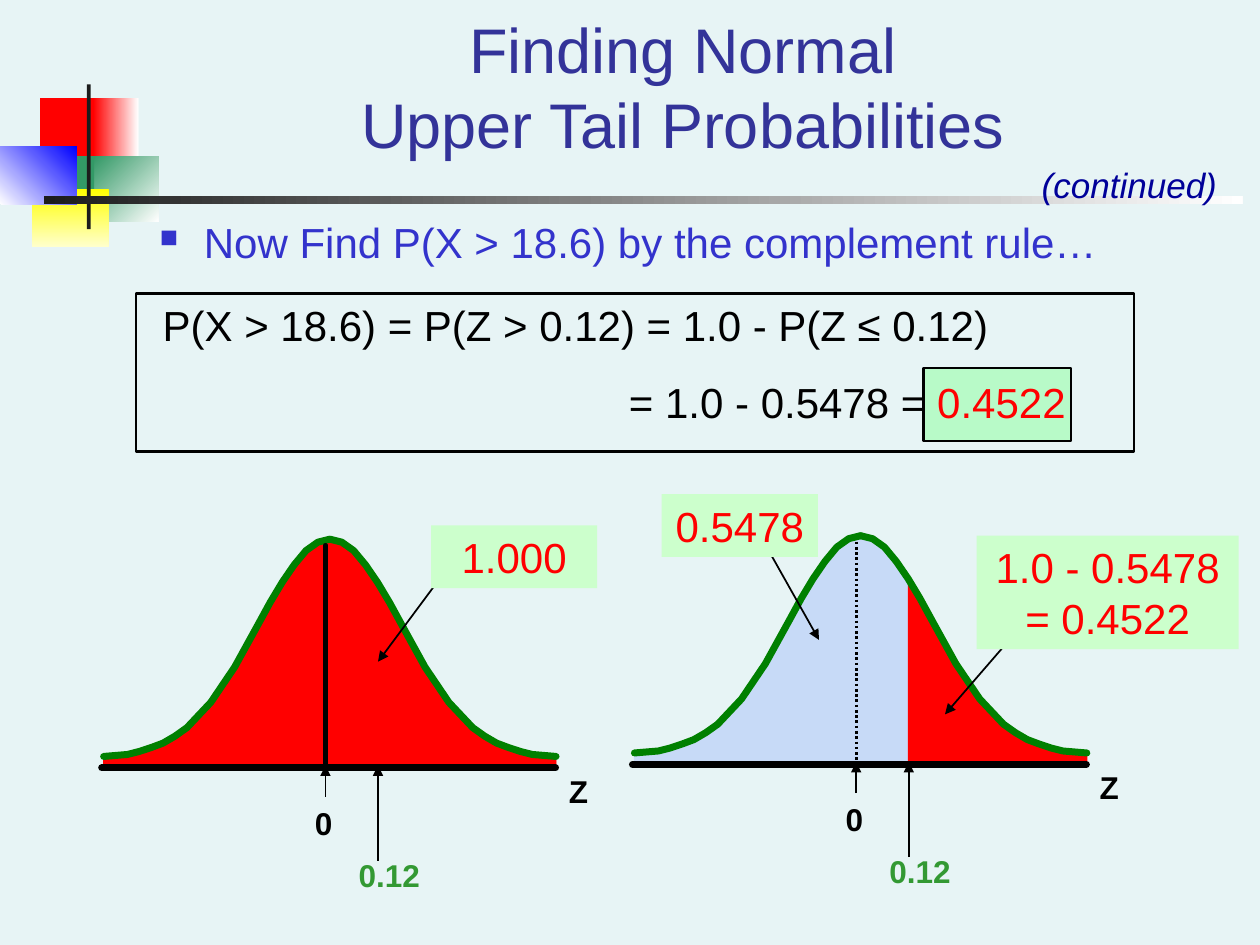
import lxml.etree
import pptx
import pptx.dml.color
import pptx.enum.dml
import pptx.enum.shapes
import pptx.enum.text
import pptx.oxml.ns
import pptx.util

Cm = pptx.util.Cm
Pt = pptx.util.Pt
qn = pptx.oxml.ns.qn
color = pptx.dml.color.RGBColor.from_string
RECTANGLE = pptx.enum.shapes.MSO_SHAPE.RECTANGLE
STRAIGHT = pptx.enum.shapes.MSO_CONNECTOR.STRAIGHT
CENTER = pptx.enum.text.PP_ALIGN.CENTER
LEFT = pptx.enum.text.PP_ALIGN.LEFT

presentation = pptx.Presentation()
presentation.slide_width = Cm(25.4)
presentation.slide_height = Cm(19.05)
slide = presentation.slides.add_slide(presentation.slide_layouts[6])
slide.background.fill.solid()
slide.background.fill.fore_color.rgb = color("E7F4F5")
shapes = slide.shapes


def style(shape, fill=None, line=None, width=1):
    shape.shadow.inherit = False
    if fill:
        shape.fill.solid()
        shape.fill.fore_color.rgb = color(fill)
    else:
        shape.fill.background()
    if line:
        shape.line.color.rgb = color(line)
        shape.line.width = Pt(width)
    else:
        shape.line.fill.background()


def add_text(text, box, size=24, ink="000000", fill=None, bold=False, italic=False,
             align=LEFT, wrap=True, bottom=False, space_before=0):
    """Add a text box; space_before applies from the second paragraph on."""
    shape = shapes.add_textbox(*[Cm(length) for length in box])
    style(shape, fill)
    frame = shape.text_frame
    frame.text = text
    frame.word_wrap = wrap
    if bottom:
        frame.vertical_anchor = pptx.enum.text.MSO_ANCHOR.BOTTOM
    for number, paragraph in enumerate(frame.paragraphs):
        paragraph.alignment = align
        if number:
            paragraph.space_before = Pt(space_before)
        for run in paragraph.runs:
            run.font.name = "Arial"
            run.font.size = Pt(size)
            run.font.bold = bold
            run.font.italic = italic
            run.font.color.rgb = color(ink)
    return shape


# Corner ornament: box, first colour, second colour, gradient angle
ornament = [
    ((0.81, 1.98, 1.22, 1.32), "FF0000", None, 0),
    ((1.88, 1.98, 0.91, 1.32), "FF0000", "FFFFFF", 0),
    ((1.9, 3.15, 1.3, 1.32), "339966", "FFFFFF", 315),
    ((1.09, 3.15, 0.81, 1.32), "339966", None, 0),
    ((0.64, 3.81, 1.55, 1.17), "FFFF00", "FFFFCC", 270),
    ((0, 2.95, 1.55, 1.17), "FFFFFF", "0000FF", 45),
    ((1.75, 1.7, 0.08, 2.92), "1C1C1C", None, 0),
    ((0.89, 3.96, 24.16, 0.15), "1C1C1C", "FFFFFF", 0),
]
for box, first, second, angle in ornament:
    shape = shapes.add_shape(RECTANGLE, *[Cm(length) for length in box])
    style(shape, first)
    if second:
        shape.fill.gradient()
        shape.fill.gradient_angle = angle
        for stop, stop_color in zip(shape.fill.gradient_stops, (first, second)):
            stop.color.rgb = color(stop_color)

# Heading and bullet
add_text("Finding Normal\vUpper Tail Probabilities", (2.97, 0.64, 21.59, 2.74),
         size=36, ink="333399", align=CENTER, bottom=True)
add_text("(continued)", (20.75, 3.18, 4.24, 1.12), size=20, ink="000099", italic=True)
bullet_box = add_text("Now Find P(X > 18.6) by the complement rule…",
                      (2.97, 4.24, 20.02, 1.9), ink="3333CC")
properties = bullet_box.text_frame.paragraphs[0]._p.get_or_add_pPr()
properties.set("marL", str(Cm(0.89)))
properties.set("indent", str(-Cm(0.89)))
bullet_color = lxml.etree.SubElement(properties, qn("a:buClr"))
lxml.etree.SubElement(bullet_color, qn("a:srgbClr"), val="3333CC")
lxml.etree.SubElement(properties, qn("a:buSzPct"), val="60000")
lxml.etree.SubElement(properties, qn("a:buChar"), char="■")

# Formula with framed result
for box, fill in [((2.74, 5.92, 20.12, 3.18), None), ((18.62, 7.42, 2.97, 1.47), "B8FAC8")]:
    shape = shapes.add_shape(RECTANGLE, *[Cm(length) for length in box])
    style(shape, fill, "000000", 1.5)
formula = add_text("P(X > 18.6) = P(Z > 0.12) = 1.0 - P(Z ≤ 0.12)\n= 1.0 - 0.5478 = ",
                   (2.34, 5.92, 21.39, 2.82), space_before=15)
for paragraph, indent in zip(formula.text_frame.paragraphs, (0.69, 10.09)):
    paragraph._p.get_or_add_pPr().set("marL", str(Cm(indent)))
result = paragraph.add_run()
result.text = "0.4522"
result.font.name = "Arial"
result.font.size = Pt(24)
result.font.color.rgb = color("FF0000")

# Bell curve: steps from the centre, and depth below the peak
STEP = 0.24
BASE = 4.61
SPLIT = 4
half_curve = [(0, 0), (1, 0.06), (2, 0.23), (3, 0.52), (4, 0.87), (5, 1.27), (6, 1.71),
              (8, 2.58), (10, 3.29), (12, 3.8), (13, 3.97), (14, 4.11), (15, 4.2),
              (16, 4.28), (17, 4.34), (19, 4.38)]
right_half = [(steps * STEP, depth) for steps, depth in half_curve]
left_half = [(-across, depth) for across, depth in right_half]
BLUE, RED, GREEN = "C7DAF7", "FF0000", "008000"

# Each plot: centre, peak, areas under the curve, width and dash of the mean line
plots = [
    (6.65, 10.87, [(left_half, RED), (right_half, RED)], 2.5, None),
    (17.35, 10.8, [(left_half, BLUE), (right_half[:SPLIT + 1], BLUE),
                   (right_half[SPLIT:], RED)],
     1.5, pptx.enum.dml.MSO_LINE.ROUND_DOT),
]
lines = []  # start and end, width, dash, has arrowhead
for center, peak, areas, mean_width, mean_dash in plots:
    base = peak + BASE
    outlines = [([(points[0][0], BASE)] + points + [(points[-1][0], BASE)], fill, fill, 0.5)
                for points, fill in areas]
    outlines += [(half, None, GREEN, 4) for half in (right_half, left_half)]
    for points, fill, line, width in outlines:
        path = [(Cm(center + across), Cm(peak + depth)) for across, depth in points]
        builder = shapes.build_freeform(*path[0], scale=1.0)
        builder.add_line_segments(path[1:], close=fill is not None)
        shape = builder.convert_to_shape()
        style(shape, fill, line, width)
        shape.line._get_or_add_ln().set("cap", "rnd")
    mean = center - 0.09
    cutoff = center + 0.97
    lines += [
        ((mean, peak + 0.12, mean, base), mean_width, mean_dash, False),
        ((center - 4.6, base, center + 4.55, base), 4, None, False),
        ((mean, base + 0.58, mean, base - 0.05), 1, None, True),
        ((cutoff, base + 1.87, cutoff, base - 0.05), 1, None, True),
    ]
    for text, across, down, width, ink in [("Z", 4.57, -0.05, 1.07, "000000"),
                                           ("0", -0.55, 0.6, 0.86, "000000"),
                                           ("0.12", 0.33, 1.65, 1.75, "339933")]:
        add_text(text, (center + across, base + down, width, 1.02),
                 size=18, ink=ink, bold=True, wrap=False)

# Pointers from the callouts into the areas
for ends in [(8.89, 11.63, 7.62, 13.34), (15.44, 11, 16.51, 12.9), (20.52, 12.7, 19.05, 14.4)]:
    lines.append((ends, 1, None, True))
for ends, width, dash, arrow in lines:
    connector = shapes.add_connector(STRAIGHT, *[Cm(length) for length in ends])
    connector.line.color.rgb = color("000000")
    connector.line.width = Pt(width)
    if dash:
        connector.line.dash_style = dash
    outline = connector.line._get_or_add_ln()
    if arrow:
        lxml.etree.SubElement(outline, qn("a:tailEnd"), type="triangle")
    elif not dash:
        outline.set("cap", "rnd")
    lxml.etree.SubElement(connector._element.spPr, qn("a:effectLst"))

for text, box in [("1.000", (8.69, 10.59, 3.35, 1.27)),
                  ("0.5478", (13.34, 9.96, 3.15, 1.27)),
                  ("1.0 - 0.5478 = 0.4522", (19.69, 10.8, 5.28, 2.29))]:
    add_text(text, box, ink="FF0000", fill="CCFFCC", align=CENTER)

presentation.save("out.pptx")
